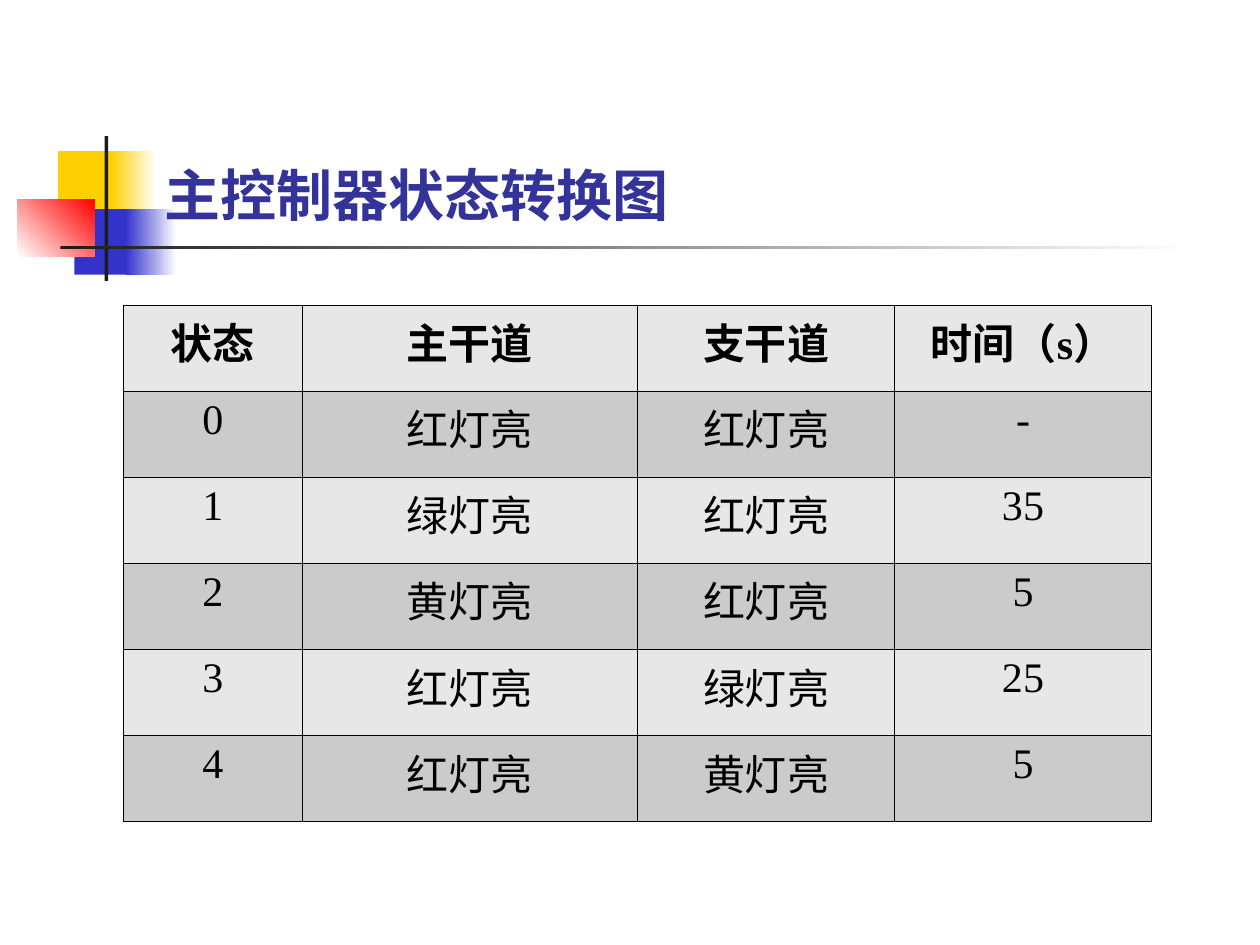
from itertools import groupby

from lxml import etree
from pptx import Presentation
from pptx.dml.color import RGBColor
from pptx.enum.shapes import MSO_SHAPE
from pptx.enum.text import MSO_ANCHOR, PP_ALIGN
from pptx.oxml.ns import qn
from pptx.util import Inches, Pt

RECT = MSO_SHAPE.RECTANGLE
CENTER, MIDDLE = PP_ALIGN.CENTER, MSO_ANCHOR.MIDDLE

THEME = {
    "yellow": "FFCF01", "blue": "3333CC", "red": "FF0000", "dark": "1C1C1C",
    "white": "FFFFFF", "title": "333399", "text": "000000", "border": "000000",
    "bands": ("E7E7E7", "CBCBCB"),
    "latin": "Times New Roman", "cjk": "Lato",
    "title_size": 32, "body_size": 24, "border_width": 0.45,
}

TITLE = "主控制器状态转换图"
TITLE_BOX = (1.14, 0.99, 4.33, 1.1)

ROWS = [
    ("状态", "主干道", "支干道", "时间（s）"),
    ("0", "红灯亮", "红灯亮", "-"),
    ("1", "绿灯亮", "红灯亮", "35"),
    ("2", "黄灯亮", "红灯亮", "5"),
    ("3", "红灯亮", "绿灯亮", "25"),
    ("4", "红灯亮", "黄灯亮", "5"),
]
COLUMNS = (1.42, 2.66, 2.04, 2.04)
TABLE_LEFT, TABLE_TOP, ROW_HEIGHT = 0.98, 2.42, 0.683

DECOR = [
    ((0.46, 1.2, 0.48, 0.52), ("yellow",), 0),
    ((0.88, 1.2, 0.36, 0.52), ("yellow", "white"), 0),
    ((0.59, 1.66, 0.46, 0.52), ("blue",), 0),
    ((1, 1.66, 0.4, 0.52), ("blue", "white"), 0),
    ((0.14, 1.58, 0.61, 0.46), ("white", "red"), 45),
    ((0.83, 1.08, 0.03, 1.15), ("dark",), 0),
    ((0.48, 1.95, 9, 0.03), ("dark", "white"), 0),
]


def rgb(name):
    return RGBColor.from_string(THEME[name])


def add_decor(s, box, colors, angle):
    sp = s.shapes.add_shape(RECT, *map(Inches, box))
    sp.shadow.inherit = False
    sp.line.fill.background()
    if len(colors) == 1:
        sp.fill.solid()
        sp.fill.fore_color.rgb = rgb(colors[0])
        return
    sp.fill.gradient()
    sp.fill.gradient_angle = angle
    for stop, color in zip(sp.fill.gradient_stops, colors):
        stop.color.rgb = rgb(color)


def format_paragraph(p, size, color, bold):
    p.alignment = CENTER
    p.font.size = Pt(THEME[size])
    p.font.bold = bold
    p.font.color.rgb = rgb(color)


def add_title(s):
    title = s.shapes.title
    title.left, title.top, title.width, title.height = map(Inches, TITLE_BOX)
    s.shapes._spTree.append(title._element)
    tf = title.text_frame
    tf.text = TITLE
    tf.vertical_anchor = MIDDLE
    p = tf.paragraphs[0]
    format_paragraph(p, "title_size", "title", True)
    p.font.name = THEME["latin"]


def add_borders(cell):
    tcPr = cell._tc.get_or_add_tcPr()
    for side in ("lnL", "lnR", "lnT", "lnB"):
        ln = etree.SubElement(tcPr, qn(f"a:{side}"), w=str(Pt(THEME["border_width"])))
        fill = etree.SubElement(ln, qn("a:solidFill"))
        etree.SubElement(fill, qn("a:srgbClr"), val=THEME["border"])


def fill_cell(cell, text, row):
    add_borders(cell)
    cell.fill.solid()
    cell.fill.fore_color.rgb = RGBColor.from_string(THEME["bands"][row % 2])
    p = cell.text_frame.paragraphs[0]
    format_paragraph(p, "body_size", "text", row == 0)
    for is_latin, chars in groupby(text, str.isascii):
        r = p.add_run()
        r.text = "".join(chars)
        r.font.name = THEME["latin" if is_latin else "cjk"]


def add_state_table(s):
    box = (TABLE_LEFT, TABLE_TOP, sum(COLUMNS), ROW_HEIGHT * len(ROWS))
    table = s.shapes.add_table(len(ROWS), len(COLUMNS), *map(Inches, box)).table
    for column, width in zip(table.columns, COLUMNS):
        column.width = Inches(width)
    for i, texts in enumerate(ROWS):
        for j, text in enumerate(texts):
            fill_cell(table.cell(i, j), text, i)


def main():
    """Build the traffic-light controller state slide."""
    prs = Presentation()
    prs.slide_width, prs.slide_height = Inches(10), Inches(7.5)
    s = prs.slides.add_slide(prs.slide_layouts[5])
    for box, colors, angle in DECOR:
        add_decor(s, box, colors, angle)
    add_title(s)
    add_state_table(s)
    prs.save("out.pptx")


if __name__ == "__main__":
    main()
